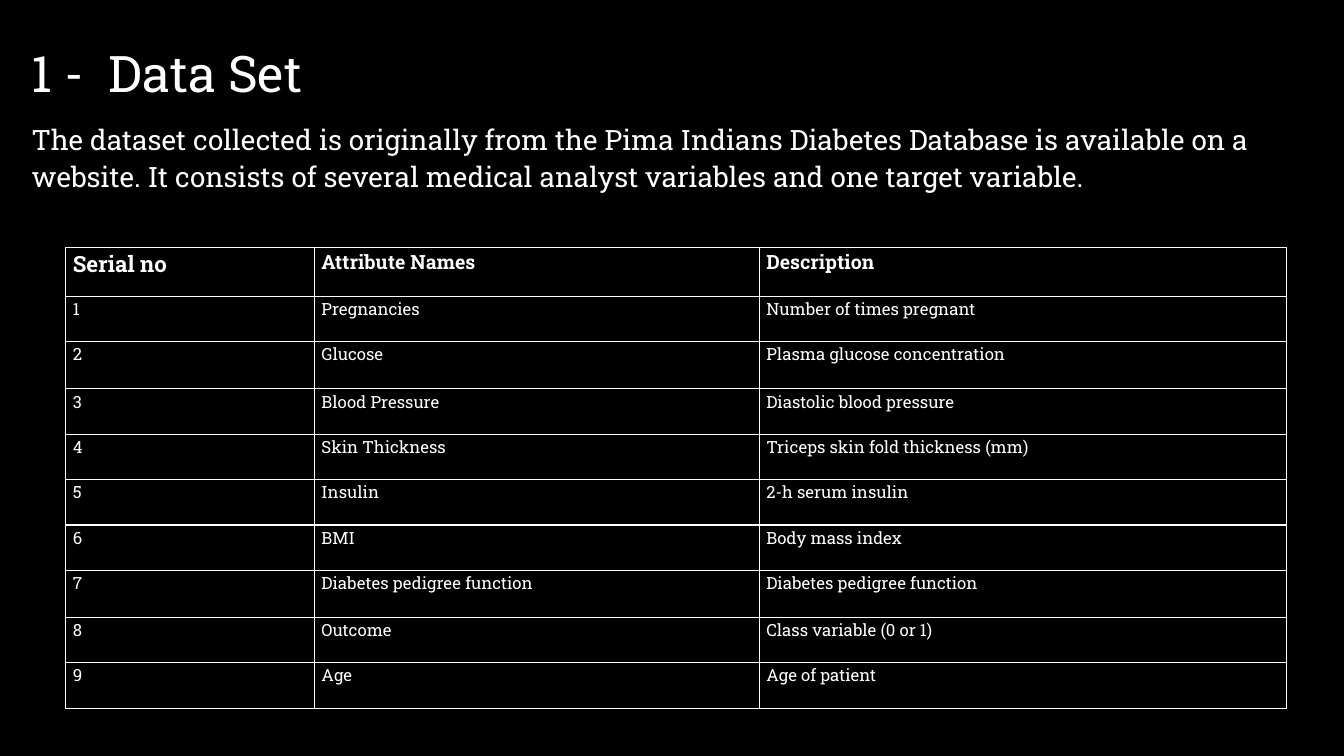
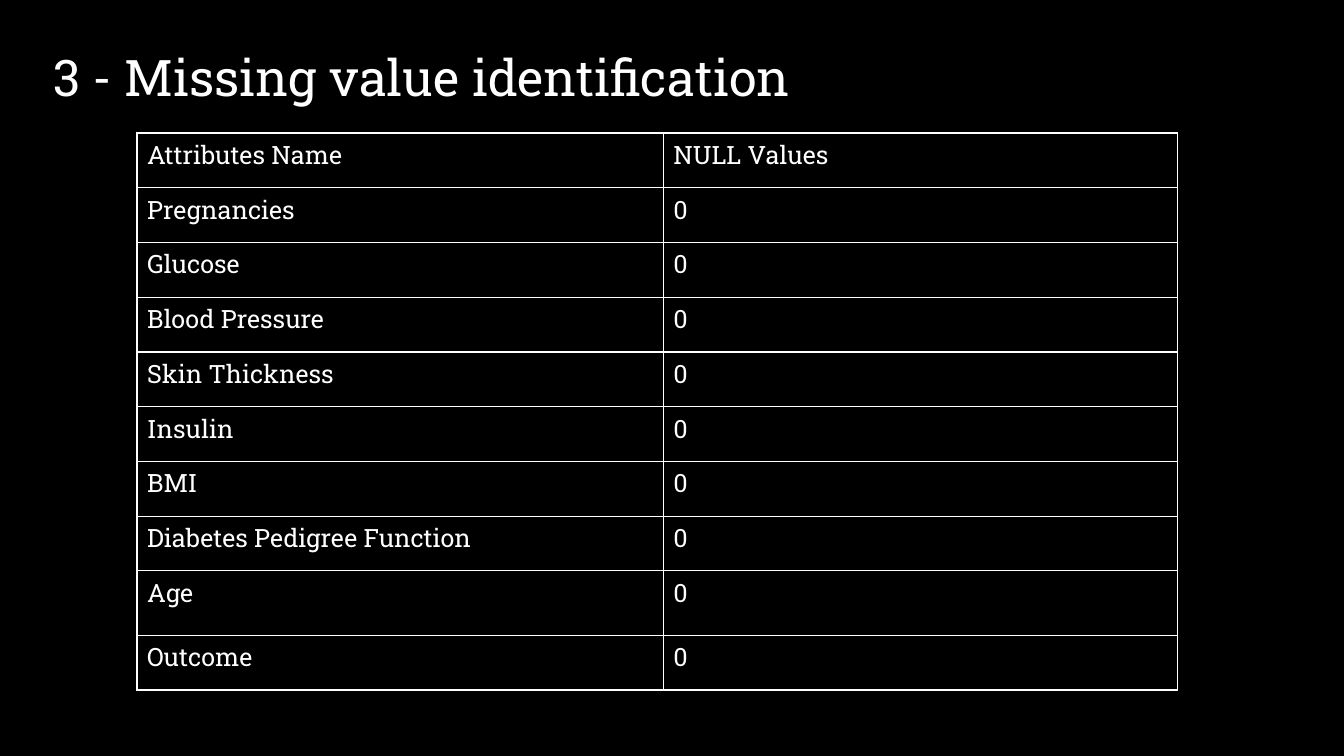
from dataclasses import dataclass

from lxml import etree
from pptx import Presentation
from pptx.dml.color import RGBColor
from pptx.enum.text import MSO_ANCHOR, MSO_AUTO_SIZE, PP_ALIGN
from pptx.oxml.ns import qn
from pptx.util import Inches, Pt

TOP, LEFT, NO_FIT = MSO_ANCHOR.TOP, PP_ALIGN.LEFT, MSO_AUTO_SIZE.NONE
TITLE_AND_BODY, TITLE_ONLY = 1, 5
GRID_COLUMNS, GRID_ROWS = 100, 75


@dataclass(frozen=True)
class Theme:
    ground: RGBColor = RGBColor(0, 0, 0)
    ink: RGBColor = RGBColor(255, 255, 255)
    face: str = "Roboto Slab"
    title: int = 36
    intro: int = 20
    large: int = 18
    lead: int = 16
    header: int = 14
    small: int = 12
    border: int = 1


def apply(target, values):
    for name, value in values.items():
        setattr(target, name, value)


class Deck:
    """Holds the theme, the presentation and the slide being filled."""

    def __init__(self, theme):
        self.theme = theme
        self.deck = Presentation()
        self.deck.slide_width, self.deck.slide_height = Inches(13.333), Inches(7.5)
        fill = self.deck.slide_master.background.fill
        fill.solid()
        fill.fore_color.rgb = theme.ground
        self.page = None

    def across(self, columns):
        return round(self.deck.slide_width * columns / GRID_COLUMNS)

    def down(self, rows):
        return round(self.deck.slide_height * rows / GRID_ROWS)

    def new_page(self, layout):
        self.page = self.deck.slides.add_slide(self.deck.slide_layouts[layout])

    def style(self, para, size, bold=False):
        apply(para.font, {"name": self.theme.face, "size": Pt(size), "bold": bold})
        para.font.color.rgb = self.theme.ink

    def fill_placeholder(self, box, text, place, size, spacing):
        left, top, width, height = place
        apply(box, {"left": self.across(left), "top": self.down(top),
                    "width": self.across(width), "height": self.down(height)})
        apply(box.text_frame, {"text": text, "word_wrap": True,
                               "auto_size": NO_FIT, "vertical_anchor": TOP})
        para = box.text_frame.paragraphs[0]
        apply(para, {"alignment": LEFT, "line_spacing": spacing, "space_before": Pt(0)})
        return para

    def title(self, text, left, top, tab=None):
        """Set the title; tab is the column offset of the text after a tab."""
        place = (left, top, 96 - left, 8)
        para = self.fill_placeholder(self.page.shapes.title, text, place,
                                     self.theme.title, 1.0)
        if tab:
            stops = etree.SubElement(para._p.get_or_add_pPr(), qn("a:tabLst"))
            etree.SubElement(stops, qn("a:tab"), pos=str(self.across(tab)), algn="l")
        self.style(para, self.theme.title)

    def intro(self, text, place):
        para = self.fill_placeholder(self.page.placeholders[1], text, place,
                                     self.theme.intro, 1.1)
        properties = para._p.get_or_add_pPr()
        properties.set("marL", "0")
        properties.set("indent", "0")
        etree.SubElement(properties, qn("a:buNone"))
        self.style(para, self.theme.intro)

    def outline(self, cell):
        properties = cell._tc.get_or_add_tcPr()
        for side in ("lnL", "lnR", "lnT", "lnB"):
            line = etree.SubElement(properties, qn(f"a:{side}"),
                                    w=str(Pt(self.theme.border)))
            paint = etree.SubElement(line, qn("a:solidFill"))
            etree.SubElement(paint, qn("a:srgbClr"), val=str(self.theme.ink))
        cell.fill.background()

    def table(self, records, corner, widths, heights, font_of, cell_format, para_format):
        """Draw a table; font_of gives (size, bold) for a row and column index."""
        frame = self.page.shapes.add_table(
            len(records), len(widths), self.across(corner[0]), self.down(corner[1]),
            self.across(sum(widths)), self.down(sum(heights)))
        grid = frame.table
        apply(grid, {"first_row": False, "horz_banding": False})
        for column, width in zip(grid.columns, widths):
            column.width = self.across(width)
        for row, height in zip(grid.rows, heights):
            row.height = self.down(height)
        for r, record in enumerate(records):
            for c, text in enumerate(record):
                cell = grid.cell(r, c)
                cell.text = text
                self.outline(cell)
                apply(cell, cell_format)
                para = cell.text_frame.paragraphs[0]
                apply(para, para_format)
                self.style(para, *font_of(r, c))


ATTRIBUTES = [
    ("Pregnancies", "Number of times pregnant"),
    ("Glucose", "Plasma glucose concentration"),
    ("Blood Pressure", "Diastolic blood pressure"),
    ("Skin Thickness", "Triceps skin fold thickness (mm)"),
    ("Insulin", "2-h serum insulin"),
    ("BMI", "Body mass index"),
    ("Diabetes pedigree function", "Diabetes pedigree function"),
    ("Outcome", "Class variable (0 or 1)"),
    ("Age", "Age of patient"),
]
CHECKED = ["Pregnancies", "Glucose", "Blood Pressure", "Skin Thickness", "Insulin",
           "BMI", "Diabetes Pedigree Function", "Age", "Outcome"]


def data_set(deck):
    theme = deck.theme

    def font_of(row, column):
        if row:
            return theme.small, False
        return (theme.header if column else theme.lead), True

    deck.new_page(TITLE_AND_BODY)
    deck.title("1 -\tData Set", 1.6, 3.7, tab=5.75)
    deck.intro("The dataset collected is originally from the Pima Indians Diabetes "
               "Database is available on a website. It consists of several medical "
               "analyst variables and one target variable.", (1.6, 11.3, 97.2, 10))
    records = [("Serial no", "Attribute Names", "Description")]
    records += [(str(number), *entry) for number, entry in enumerate(ATTRIBUTES, 1)]
    heights = [4.85, 4.5, 4.68] + [4.5] * 4 + [4.68] + [4.5] * 2
    margin = Inches(0.07)
    deck.table(records, (4.9, 24.55), (18.5, 33.1, 39.2), heights, font_of,
               {"margin_left": margin, "margin_right": margin,
                "margin_top": 0, "margin_bottom": 0},
               {"line_spacing": 1.07, "space_after": Pt(8)})


def missing_values(deck):
    deck.new_page(TITLE_ONLY)
    deck.title("3 - Missing value identification", 3.2, 4.1)
    records = [("Attributes Name", "NULL Values")] + [(name, "0") for name in CHECKED]
    heights = [6.4 if name == "Age" else 5.43 for name, _ in records]
    deck.table(records, (10.2, 13.2), (39.15, 38.25), heights,
               lambda row, column: (deck.theme.large, False), {}, {})


def main():
    deck = Deck(Theme())
    data_set(deck)
    missing_values(deck)
    deck.deck.save("out.pptx")


if __name__ == "__main__":
    main()
